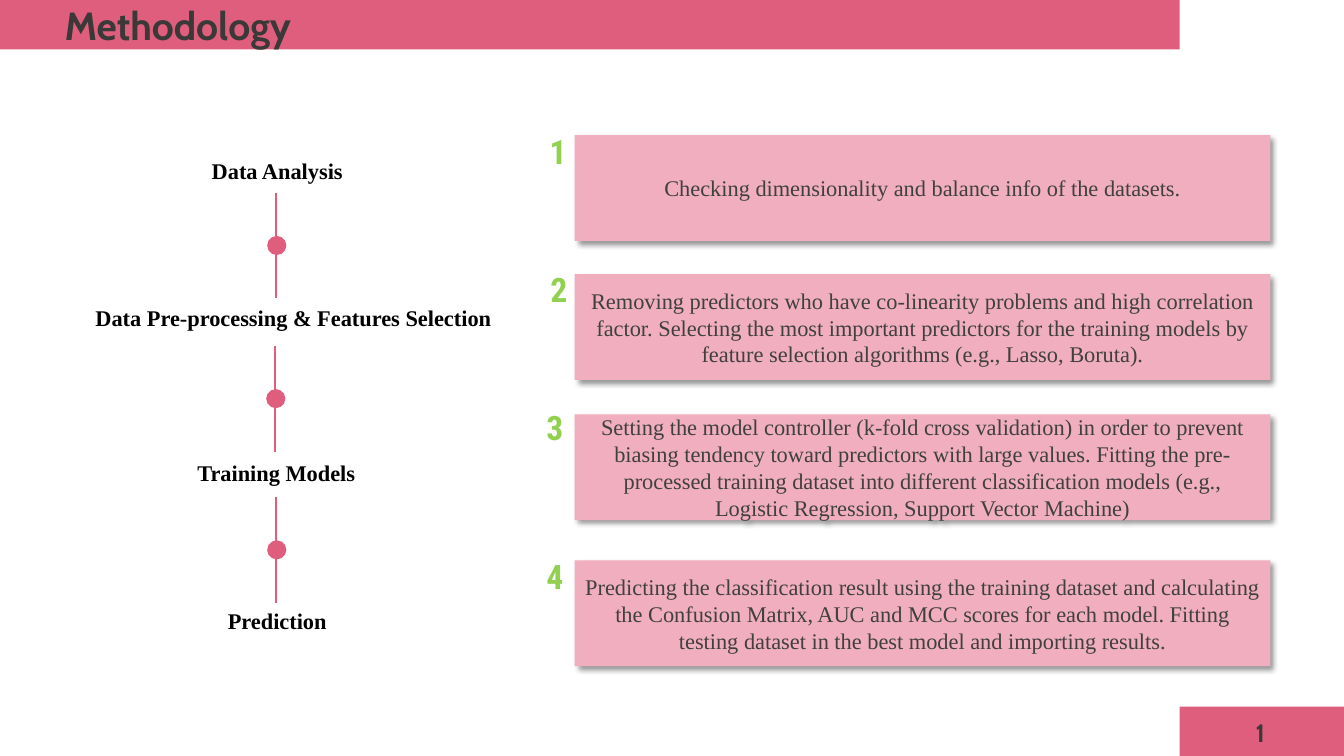
from lxml.etree import SubElement
from pptx import Presentation
from pptx.dml.color import RGBColor
from pptx.enum.shapes import MSO_CONNECTOR as Connector, MSO_SHAPE as Preset
from pptx.enum.text import MSO_ANCHOR as Anchor, MSO_AUTO_SIZE as AutoSize, PP_ALIGN as Align
from pptx.oxml.ns import qn
from pptx.util import Inches, Pt

ROSE = RGBColor(0xE0, 0x5E, 0x7D)
PALE_ROSE = RGBColor(0xF0, 0xAE, 0xBE)
GREEN = RGBColor(0x92, 0xD0, 0x50)
CHARCOAL = RGBColor(0x3B, 0x38, 0x38)
GREY = RGBColor(0x40, 0x40, 0x40)
BLACK = RGBColor(0, 0, 0)

SERIF = "Times New Roman"
COLUMNS, ROWS = 133.3, 75
CELL = Inches(0.1)
BAND_HEIGHT = 4.9
BAND_SPLIT = 117
DOT_SIZE = 1.9
LINK_HEIGHT = 10.5
CARD_LEFT, CARD_WIDTH, CARD_HEIGHT = 57, 69, 10.5

STAGES = [
    ("Data Analysis", 27.5, 15.1),
    ("Data Pre-processing & Features Selection", 29.1, 29.7),
    ("Training Models", 27.4, 45.1),
    ("Prediction", 27.5, 59.7),
]
LINKS = [(27.4, 19.1), (27.3, 34.3), (27.4, 49.3)]
CARDS = [
    (13.4, 54.5, 12.5, "Checking dimensionality and balance info of the datasets."),
    (27.2, 54.6, 26.2, "Removing predictors who have co-linearity problems and high "
     "correlation factor. Selecting the most important predictors for the training "
     "models by feature selection algorithms (e.g., Lasso, Boruta)."),
    (41.1, 54.2, 39.9, "Setting the model controller (k-fold cross validation) in order "
     "to prevent biasing tendency toward predictors with large values. Fitting the "
     "pre-processed training dataset into different classification models (e.g., "
     "Logistic Regression, Support Vector Machine)"),
    (55.6, 54.2, 54.7, "Predicting the classification result using the training dataset "
     "and calculating the Confusion Matrix, AUC and MCC scores for each model. Fitting "
     "testing dataset in the best model and importing results."),
]


def grid(*cells):
    return [round(cell * CELL) for cell in cells]


def write(shape, text, *, size, font, color, bold=False, align=Align.CENTER,
          anchor=Anchor.TOP, wrap=True, inset=1):
    frame = shape.text_frame
    frame.auto_size = AutoSize.NONE
    frame.word_wrap = wrap
    frame.vertical_anchor = anchor
    frame.margin_left, frame.margin_right = grid(inset, inset)
    paragraph = frame.paragraphs[0]
    paragraph.alignment = align
    run = paragraph.add_run()
    run.text = text
    run.font.size = Pt(size)
    run.font.name = font
    run.font.bold = bold
    run.font.color.rgb = color


def add_text(slide, text, left, top, width, height, **style):
    box = slide.shapes.add_textbox(*grid(left, top, width, height))
    write(box, text, **style)


def add_block(slide, preset, left, top, width, height, color):
    shape = slide.shapes.add_shape(preset, *grid(left, top, width, height))
    shape.shadow.inherit = False
    shape.fill.solid()
    shape.fill.fore_color.rgb = color
    shape.line.fill.background()
    return shape


def add_line(slide, column, top, bottom):
    line = slide.shapes.add_connector(
        Connector.STRAIGHT, *grid(column, top, column, bottom))
    line.line.color.rgb = ROSE
    line.line.width = Pt(1.5)
    SubElement(line._element.spPr, qn("a:effectLst"))


def add_shadow(shape):
    effects = shape._element.spPr.find(qn("a:effectLst"))
    shadow = SubElement(effects, qn("a:outerShdw"), blurRad=str(Pt(4)),
                        dist=str(Pt(3)), dir="2700000", algn="tl", rotWithShape="0")
    color = SubElement(shadow, qn("a:srgbClr"), val="000000")
    SubElement(color, qn("a:alpha"), val="40000")


def add_link(slide, column, top):
    middle = top + LINK_HEIGHT / 2
    add_block(slide, Preset.OVAL, column + 0.05 - DOT_SIZE / 2, middle - DOT_SIZE / 2,
              DOT_SIZE, DOT_SIZE, ROSE)
    add_line(slide, column, top, middle)
    add_line(slide, column, middle, top + LINK_HEIGHT)


def add_card(slide, number, top, number_left, number_top, text):
    card = add_block(slide, Preset.RECTANGLE, CARD_LEFT, top,
                     CARD_WIDTH, CARD_HEIGHT, PALE_ROSE)
    add_shadow(card)
    write(card, text, size=16, font=SERIF, color=GREY, anchor=Anchor.MIDDLE)
    add_text(slide, str(number), number_left, number_top, 2.1, 5, size=24,
             font="Roboto Condensed", color=GREEN, bold=True, align=Align.LEFT, inset=0)


def place_title(slide, text):
    title = slide.shapes.title
    title.left, title.top, title.width, title.height = grid(5.4, -0.4, 28.7, 5.7)
    write(title, text, size=28, font="Cabin", color=CHARCOAL, bold=True, align=Align.LEFT)
    slide.shapes._spTree.append(title._element)


def main():
    presentation = Presentation()
    presentation.slide_width, presentation.slide_height = grid(COLUMNS, ROWS)
    slide = presentation.slides.add_slide(presentation.slide_layouts[5])

    add_block(slide, Preset.RECTANGLE, 0, 0, BAND_SPLIT, BAND_HEIGHT, ROSE)
    add_block(slide, Preset.RECTANGLE, BAND_SPLIT, ROWS - BAND_HEIGHT,
              COLUMNS - BAND_SPLIT, BAND_HEIGHT, ROSE)
    add_text(slide, "1", 123.3, 70.7, 3.4, 4, size=18, font="Cabin",
             color=CHARCOAL, bold=True, wrap=False)
    place_title(slide, "Methodology")

    for column, top in LINKS:
        add_link(slide, column, top)
    for text, center, top in STAGES:
        width = 41.8
        add_text(slide, text, center - width / 2, top, width, 3.7, size=16,
                 font=SERIF, color=BLACK, bold=True)
    for number, card in enumerate(CARDS, 1):
        add_card(slide, number, *card)

    presentation.save("out.pptx")


if __name__ == "__main__":
    main()
